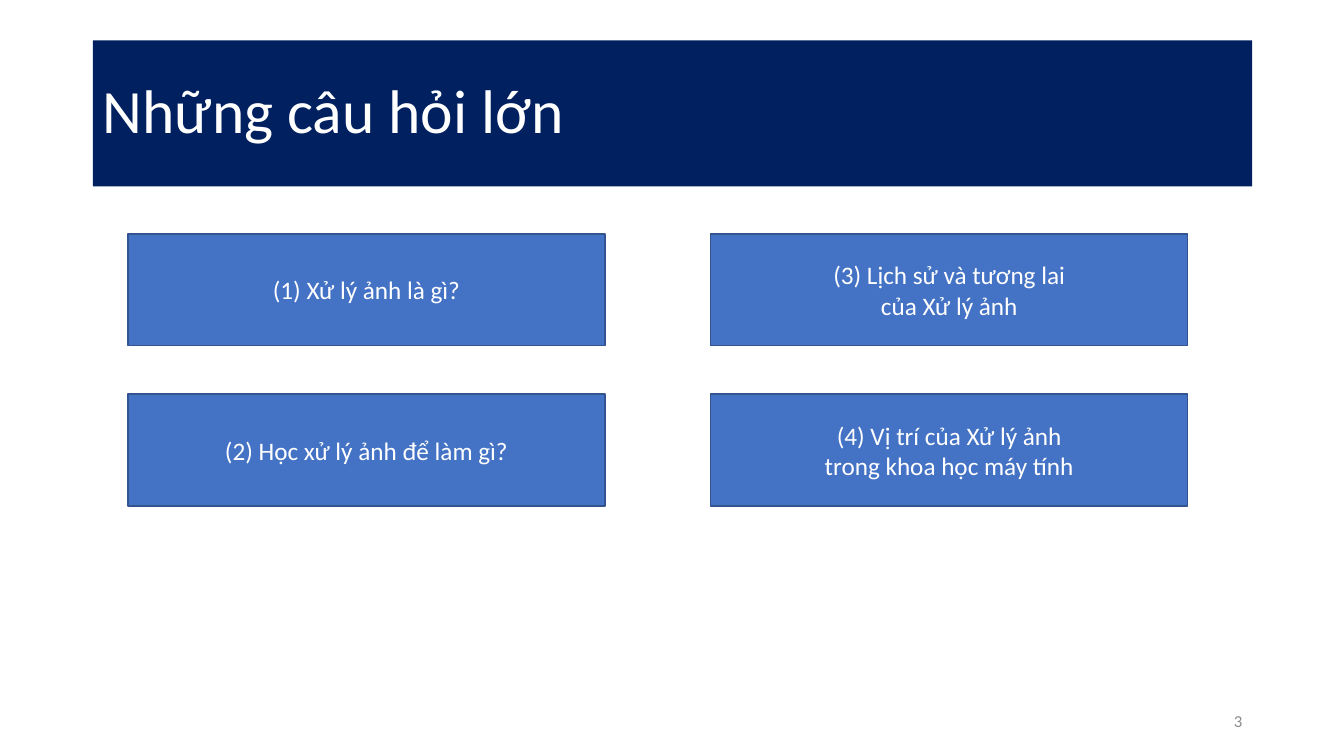
from pptx import Presentation
from pptx.dml.color import RGBColor
from pptx.enum.shapes import MSO_SHAPE
from pptx.enum.text import MSO_ANCHOR, MSO_AUTO_SIZE, PP_ALIGN
from pptx.util import Inches, Pt

RECTANGLE = MSO_SHAPE.RECTANGLE
MIDDLE = MSO_ANCHOR.MIDDLE
NO_AUTOFIT = MSO_AUTO_SIZE.NONE
LEFT, CENTER, RIGHT = PP_ALIGN.LEFT, PP_ALIGN.CENTER, PP_ALIGN.RIGHT

TITLE_ONLY = 5
SLIDE_SIZE = (13.33, 7.5)
TITLE_BOX = (0.92, 0.4, 11.5, 1.45)
QUESTIONS_BOX = (1.27, 2.32, 10.51, 2.7)
NUMBER_BOX = (9.42, 6.95, 3, 0.4)
CARD_SIZE = (4.73, 1.11)

NAVY, BLUE, EDGE_BLUE = "002060", "4472C4", "325491"
WHITE, GRAY = "FFFFFF", "8C8C8C"

QUESTION_COLUMNS = [
    [["(1) Xử lý ảnh là gì?"],
     ["(2) Học xử lý ảnh để làm gì?"]],
    [["(3) Lịch sử và tương lai", "của Xử lý ảnh"],
     ["(4) Vị trí của Xử lý ảnh", "trong khoa học máy tính"]],
]


def rgb(color):
    return RGBColor.from_string(color)


def set_attributes(target, values):
    for name, value in values.items():
        setattr(target, name, value)


def place(shape, box):
    lengths = [Inches(length) for length in box]
    set_attributes(shape, dict(zip(("left", "top", "width", "height"), lengths)))


def fill_solid(shape, color):
    shape.fill.solid()
    shape.fill.fore_color.rgb = rgb(color)


def write(shape, lines, size, color, alignment, line_spacing=1.0):
    frame = shape.text_frame
    set_attributes(frame, {"word_wrap": True, "auto_size": NO_AUTOFIT,
                           "vertical_anchor": MIDDLE})
    frame.text = "\n".join(lines)
    for paragraph in frame.paragraphs:
        set_attributes(paragraph, {"alignment": alignment,
                                   "line_spacing": line_spacing})
        set_attributes(paragraph.font, {"name": "Calibri", "size": Pt(size)})
        paragraph.font.color.rgb = rgb(color)


def add_title(slide, box):
    title = slide.shapes.title
    place(title, box)
    fill_solid(title, NAVY)
    write(title, ["Những câu hỏi lớn"], 44, WHITE, LEFT, line_spacing=0.9)


def add_card(slide, box, lines):
    card = slide.shapes.add_shape(RECTANGLE, *map(Inches, box))
    card.shadow.inherit = False
    fill_solid(card, BLUE)
    card.line.color.rgb = rgb(EDGE_BLUE)
    card.line.width = Pt(1)
    write(card, lines, 18, WHITE, CENTER)


def add_questions(slide, box):
    """Spread the cards so that the outer ones touch the edges of the box."""
    left, top, width, height = box
    card_width, card_height = CARD_SIZE
    column_step = (width - card_width) / (len(QUESTION_COLUMNS) - 1)
    for column, questions in enumerate(QUESTION_COLUMNS):
        row_step = (height - card_height) / (len(questions) - 1)
        for row, lines in enumerate(questions):
            card_box = (left + column * column_step, top + row * row_step,
                        card_width, card_height)
            add_card(slide, card_box, lines)


def add_slide_number(slide, box):
    number = slide.shapes.add_textbox(*map(Inches, box))
    write(number, ["3"], 12, GRAY, RIGHT)


def main():
    presentation = Presentation()
    width, height = map(Inches, SLIDE_SIZE)
    set_attributes(presentation, {"slide_width": width, "slide_height": height})
    slide = presentation.slides.add_slide(presentation.slide_layouts[TITLE_ONLY])
    add_title(slide, TITLE_BOX)
    add_questions(slide, QUESTIONS_BOX)
    add_slide_number(slide, NUMBER_BOX)
    presentation.save("out.pptx")


if __name__ == "__main__":
    main()
